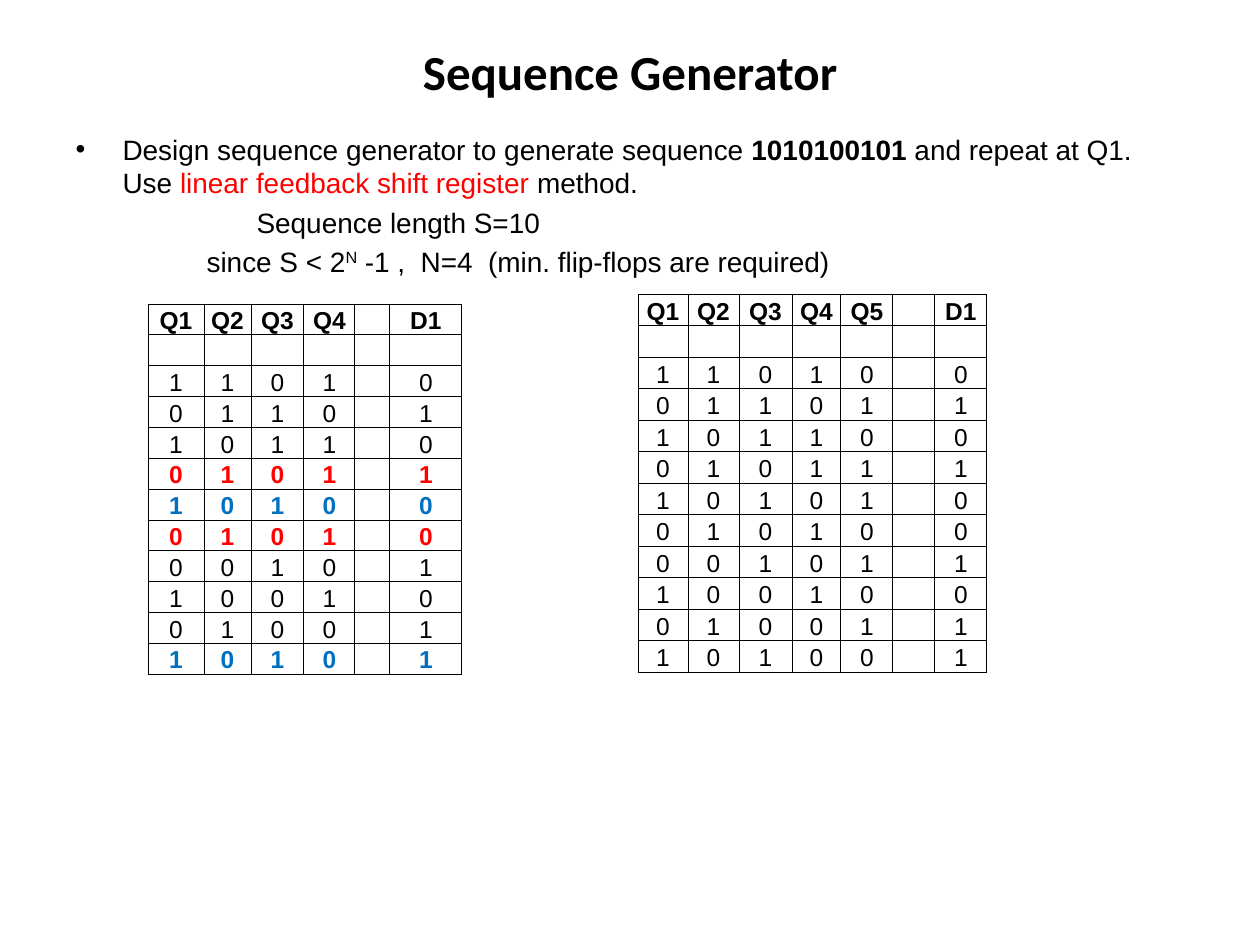
from lxml import etree
from pptx import Presentation
from pptx.dml import color
from pptx.enum import text
from pptx.oxml import ns
from pptx.util import Pt

SCALE = 914400 / 126
BLACK, RED, BLUE = "000000", "FF0000", "0070C0"


def px(n):
    return round(n * SCALE)


def rgb(tint):
    return color.RGBColor.from_string(tint)


def sub(node, tag, **attrs):
    return etree.SubElement(node, ns.qn(tag), attrs)


class Deck:
    font = "Arial"
    edge = 0.5

    def __init__(self, wide, high):
        self.prs = Presentation()
        self.prs.slide_width, self.prs.slide_height = px(wide), px(high)
        self.slide = self.prs.slides.add_slide(self.prs.slide_layouts[1])

    def run(self, para, words, size, tint=BLACK, bold=False, face=None, lift=0):
        run = para.add_run()
        run.text = words
        font = run.font
        font.name, font.size, font.bold = face or self.font, Pt(size), bold
        font.color.rgb = rgb(tint)
        if lift:
            run._r.get_or_add_rPr().set("baseline", str(lift * 1000))

    def place(self, index, box):
        shape = self.slide.placeholders[index]
        shape.left, shape.top, shape.width, shape.height = map(px, box)
        frame = shape.text_frame
        frame.word_wrap = True
        frame.auto_size = text.MSO_AUTO_SIZE.NONE
        return frame

    def title(self, words, box):
        frame = self.place(0, box)
        frame.vertical_anchor = text.MSO_ANCHOR.MIDDLE
        para = frame.paragraphs[0]
        para.alignment = text.PP_ALIGN.CENTER
        self.run(para, words, 28, bold=True, face="Calibri")

    def body(self, items, box):
        frame = self.place(1, box)
        for i, (left, mark, runs) in enumerate(items):
            para = frame.add_paragraph() if i else frame.paragraphs[0]
            props = para._p.get_or_add_pPr()
            props.set("marL", str(px(left)))
            props.set("indent", str(px(-left if mark else 0)))
            gap = sub(props, "a:spcBef")
            sub(gap, "a:spcPct", val="20000")
            if mark:
                sub(props, "a:buFont", typeface=self.font)
                sub(props, "a:buChar", char=mark)
            else:
                sub(props, "a:buNone")
            for words, style in runs:
                self.run(para, words, 16, **style)

    def cell(self, cell, words, tint, bold):
        cell.margin_left = cell.margin_right = cell.margin_top = px(1)
        cell.margin_bottom = 0
        cell.vertical_anchor = text.MSO_ANCHOR.BOTTOM
        para = cell.text_frame.paragraphs[0]
        para.alignment = text.PP_ALIGN.CENTER
        if words:
            self.run(para, words, 14, tint, bold)
        else:
            sub(para._p, "a:endParaRPr", sz="1400")
        props = cell._tc.get_or_add_tcPr()
        for side in "LRTB":
            line = sub(props, f"a:ln{side}", w=str(Pt(self.edge)))
            fill = sub(line, "a:solidFill")
            sub(fill, "a:srgbClr", val=BLACK)
        cell.fill.background()

    def table(self, rows, cols, left, top, high, tints):
        box = map(px, (left, top, sum(cols), high))
        grid = self.slide.shapes.add_table(len(rows), len(cols), *box).table
        grid.first_row = grid.horz_banding = False
        for col, wide in zip(grid.columns, cols):
            col.width = px(wide)
        for r, row in enumerate(rows):
            grid.rows[r].height = px(high / len(rows))
            tint = tints.get(r, BLACK)
            for c, words in enumerate(row):
                self.cell(grid.cell(r, c), words, tint, r == 0 or r in tints)


def states(seed, feed):
    size = len(seed)
    rows = [[f"Q{n + 1}" for n in range(size)] + ["", "D1"], [""] * (size + 2)]
    state = seed
    for bit in feed:
        rows.append([*state, "", bit])
        state = bit + state[:-1]
    return rows


def main():
    deck = Deck(1260, 945)
    deck.title("Sequence Generator", (63, 32, 1134, 78))
    deck.body([
        (47, "•", [
            ("Design sequence generator to generate sequence ", {}),
            ("1010100101", {"bold": True}),
            (" and repeat at Q1. Use ", {}),
            ("linear feedback shift register ", {"tint": RED}),
            ("method.", {}),
        ]),
        (181, "", [("Sequence length S=10", {})]),
        (131, "", [
            ("since S < 2", {}),
            ("N", {"lift": 30}),
            (" -1 ,  N=4  (min. flip-flops are required)", {}),
        ]),
    ], (63, 126, 1134, 179))
    feed = "0101001011"
    tints = {5: RED, 6: BLUE, 7: RED, 11: BLUE}
    deck.table(states("1101", feed), (56, 47, 53, 51, 35, 72),
               148, 304, 348, tints)
    deck.table(states("11010", feed), (50, 51, 53, 49, 52, 42, 52),
               638, 294, 378, {})
    deck.prs.save("out.pptx")


if __name__ == "__main__":
    main()
